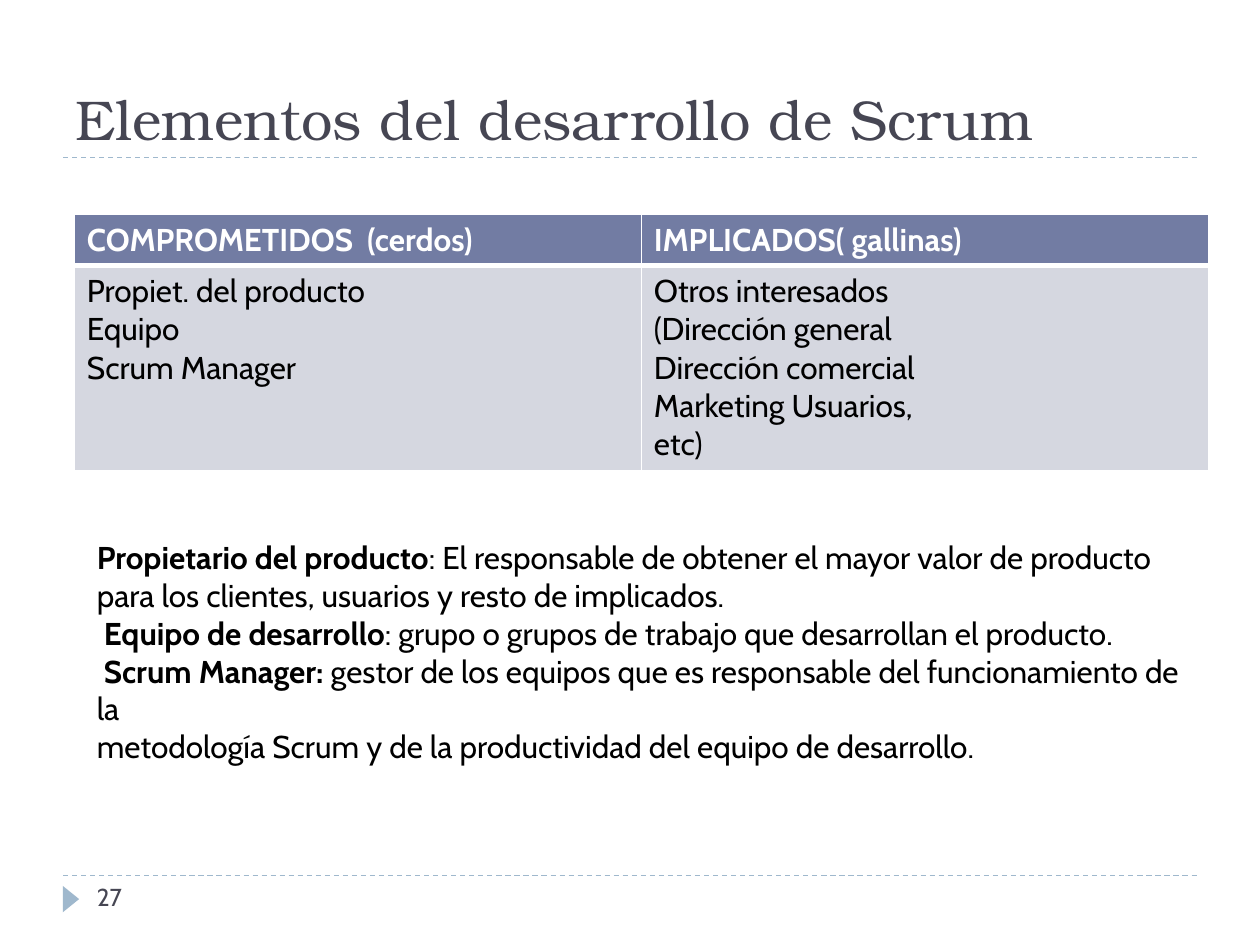
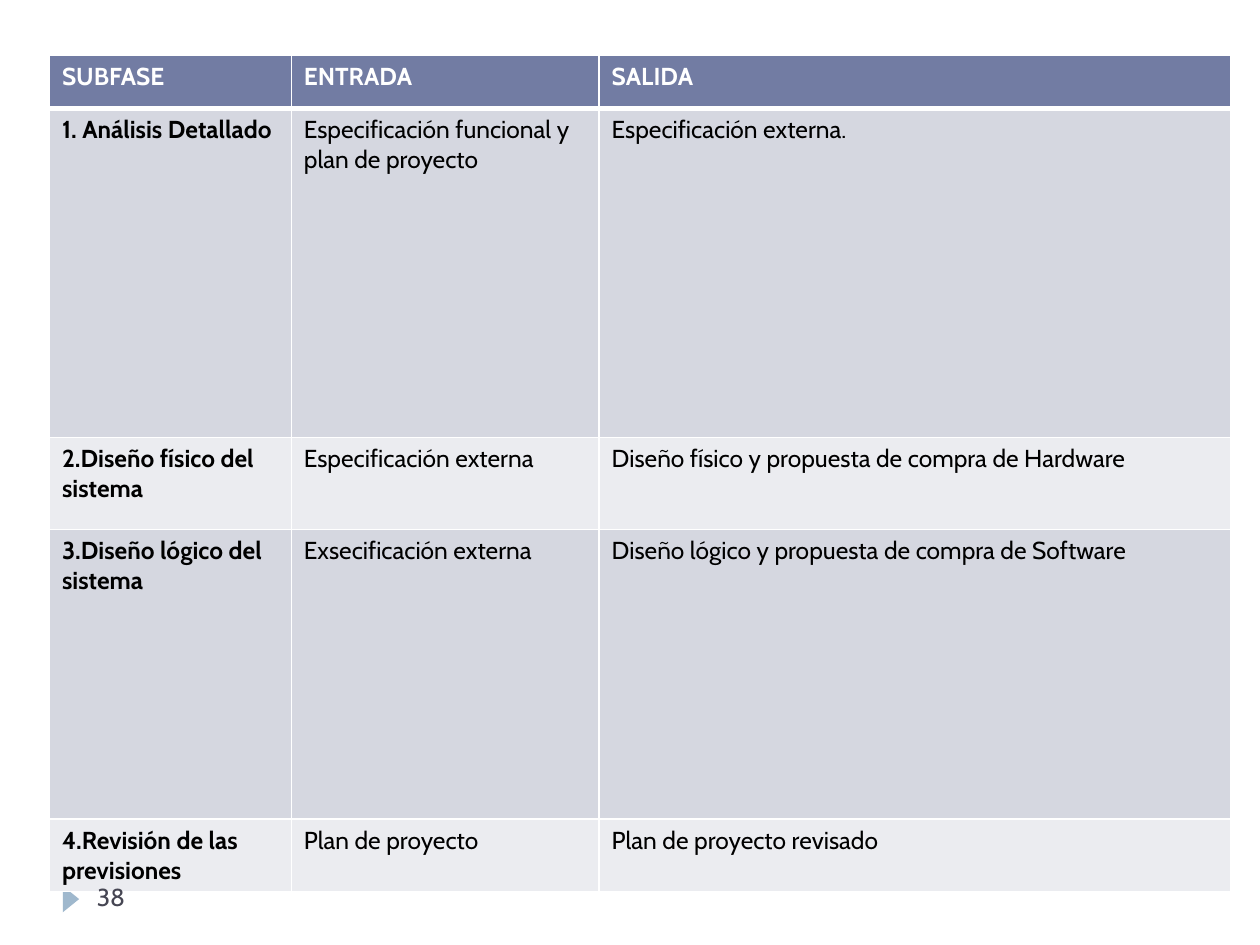
from dataclasses import dataclass

from lxml import etree
from pptx import Presentation
from pptx.dml.color import RGBColor
from pptx.enum.dml import MSO_LINE
from pptx.enum.shapes import MSO_CONNECTOR, MSO_SHAPE
from pptx.enum.text import MSO_ANCHOR, MSO_AUTO_SIZE, PP_ALIGN
from pptx.oxml.ns import qn
from pptx.util import Inches, Pt

DASH = MSO_LINE.DASH
STRAIGHT = MSO_CONNECTOR.STRAIGHT
TRIANGLE = MSO_SHAPE.ISOSCELES_TRIANGLE
BOTTOM = MSO_ANCHOR.BOTTOM
LEFT = PP_ALIGN.LEFT
NO_AUTOFIT = MSO_AUTO_SIZE.NONE

SLIDE_WIDTH, SLIDE_HEIGHT = Inches(10), Inches(7.5)
TITLE_LAYOUT, BLANK_LAYOUT = 5, 6
TITLE_FONT, BODY_FONT = "TeX Gyre Bonum", "Cabin"
INK, ACCENT, BLACK, WHITE = "464653", "9FB8CD", "000000", "FFFFFF"
HEADER_FILL = "727CA3"
BAND_FILLS = ("D5D7E0", "EBECF0")
TITLE_RULE, FOOTER_RULE = 16.67, 92.67


@dataclass(frozen=True)
class Box:
    """Left, top, width and height in percent of the slide's size."""
    left: float
    top: float
    width: float
    height: float

    def lengths(self) -> tuple[int, int, int, int]:
        return across(self.left), down(self.top), across(self.width), down(self.height)


@dataclass(frozen=True)
class TableSpec:
    """Cell texts, with column widths and row heights in percent of the slide."""
    left: float
    top: float
    columns: tuple[float, ...]
    rows: tuple[float, ...]
    size: int
    bold_first_column: bool
    cells: tuple[tuple[str, ...], ...]


TITLE_BOX = Box(5, 2.3, 90, 14.4)
ROLES_BOX = Box(6.7, 56.3, 88.2, 21.6)
NUMBER_BOX = Box(6.7, FOOTER_RULE, 21.7, 5.33)
MARKER_BOX = Box(4.58, 94.28, 2.1, 1.73)

COMMITMENT = TableSpec(
    left=5.9, top=22.67, columns=(45, 45), rows=(5.42, 21.5), size=18,
    bold_first_column=False,
    cells=(
        ("COMPROMETIDOS  (cerdos)", "IMPLICADOS( gallinas)"),
        ("Propiet. del producto\nEquipo\nScrum Manager",
         "Otros interesados\n(Dirección general\nDirección comercial\n"
         "Marketing Usuarios,\netc)"),
    ),
)
SUBPHASES = TableSpec(
    left=3.92, top=5.87, columns=(19.2, 24.43, 50.13),
    rows=(5.6, 34.83, 9.75, 30.65, 7.57), size=14, bold_first_column=True,
    cells=(
        ("SUBFASE", "ENTRADA", "SALIDA"),
        ("1. Análisis Detallado", "Especificación funcional y plan de proyecto",
         "Especificación externa."),
        ("2.Diseño físico del sistema", "Especificación externa",
         "Diseño físico y propuesta de compra de Hardware"),
        ("3.Diseño lógico del sistema", "Exsecificación externa",
         "Diseño lógico y propuesta de compra de Software"),
        ("4.Revisión de las previsiones", "Plan de proyecto",
         "Plan de proyecto revisado"),
    ),
)
# Each paragraph is a bold term followed by its plain explanation.
ROLES = (
    ("Propietario del producto",
     ": El responsable de obtener el mayor valor de producto "
     "para los clientes, usuarios y resto de implicados."),
    (" Equipo de desarrollo",
     ": grupo o grupos de trabajo que desarrollan el producto."),
    (" Scrum Manager: ",
     "gestor de los equipos que es responsable del funcionamiento de la"),
    ("", "metodología Scrum y de la productividad del equipo de desarrollo."),
)


def across(percent: float) -> int:
    return round(SLIDE_WIDTH * percent / 100)


def down(percent: float) -> int:
    return round(SLIDE_HEIGHT * percent / 100)


def color(value: str) -> RGBColor:
    return RGBColor.from_string(value)


def style(paragraph, size: int, ink: str, name: str = BODY_FONT, bold=None) -> None:
    font = paragraph.font
    font.name, font.size, font.bold = name, Pt(size), bold
    font.color.rgb = color(ink)


def add_rule(slide, top: float) -> None:
    rule = slide.shapes.add_connector(
        STRAIGHT, across(5), down(top), across(95), down(top))
    rule.line.color.rgb = color(ACCENT)
    rule.line.width = Pt(0.75)
    rule.line.dash_style = DASH
    etree.SubElement(rule._element.spPr, qn("a:effectLst"))


def add_marker(slide) -> None:
    marker = slide.shapes.add_shape(TRIANGLE, *MARKER_BOX.lengths())
    marker.rotation = 90
    marker.shadow.inherit = False
    marker.fill.solid()
    marker.fill.fore_color.rgb = color(ACCENT)
    marker.line.fill.background()


def add_framed_slide(presentation, layout: int):
    """Add a slide with the rules and the footer marker that all slides share."""
    slide = presentation.slides.add_slide(presentation.slide_layouts[layout])
    for top in (FOOTER_RULE, TITLE_RULE):
        add_rule(slide, top)
    add_marker(slide)
    return slide


def add_text_frame(slide, box: Box):
    frame = slide.shapes.add_textbox(*box.lengths()).text_frame
    frame.word_wrap = True
    return frame


def add_number(slide, number: int) -> None:
    paragraph = add_text_frame(slide, NUMBER_BOX).paragraphs[0]
    paragraph.text = str(number)
    style(paragraph, 14, INK)


def set_title(slide, text: str) -> None:
    title = slide.shapes.title
    title.left, title.top, title.width, title.height = TITLE_BOX.lengths()
    frame = title.text_frame
    frame.text = text
    frame.auto_size = NO_AUTOFIT
    frame.vertical_anchor = BOTTOM
    paragraph = frame.paragraphs[0]
    paragraph.alignment = LEFT
    style(paragraph, 32, INK, TITLE_FONT)


def set_borders(cell, top: int, bottom: int) -> None:
    """Draw white cell borders, with top and bottom widths in points."""
    properties = cell._tc.get_or_add_tcPr()
    widths = {"a:lnL": 1, "a:lnR": 1, "a:lnT": top, "a:lnB": bottom}
    for position, (tag, width) in enumerate(widths.items()):
        line = etree.Element(qn(tag), w=str(Pt(width)))
        fill = etree.SubElement(line, qn("a:solidFill"))
        etree.SubElement(fill, qn("a:srgbClr"), val=WHITE)
        properties.insert(position, line)


def add_table(slide, spec: TableSpec) -> None:
    box = Box(spec.left, spec.top, sum(spec.columns), sum(spec.rows))
    table = slide.shapes.add_table(
        len(spec.rows), len(spec.columns), *box.lengths()).table
    for column, width in zip(table.columns, spec.columns):
        column.width = across(width)
    for row, height in zip(table.rows, spec.rows):
        row.height = down(height)
    for row_index, texts in enumerate(spec.cells):
        header = row_index == 0
        fill = HEADER_FILL if header else BAND_FILLS[(row_index - 1) % 2]
        for column_index, text in enumerate(texts):
            cell = table.cell(row_index, column_index)
            cell.text = text
            cell.fill.solid()
            cell.fill.fore_color.rgb = color(fill)
            set_borders(cell, 3 if row_index == 1 else 1, 3 if header else 1)
            bold = header or (spec.bold_first_column and column_index == 0)
            for paragraph in cell.text_frame.paragraphs:
                style(paragraph, spec.size, WHITE if header else BLACK, bold=bold)


def add_roles(slide) -> None:
    frame = add_text_frame(slide, ROLES_BOX)
    for index, (term, explanation) in enumerate(ROLES):
        paragraph = frame.add_paragraph() if index else frame.paragraphs[0]
        style(paragraph, 18, BLACK)
        if term:
            run = paragraph.add_run()
            run.text = term
            run.font.bold = True
        paragraph.add_run().text = explanation


def add_elements_slide(presentation) -> None:
    slide = add_framed_slide(presentation, TITLE_LAYOUT)
    set_title(slide, "Elementos del desarrollo de Scrum")
    add_table(slide, COMMITMENT)
    add_roles(slide)
    add_number(slide, 27)


def add_subphases_slide(presentation) -> None:
    slide = add_framed_slide(presentation, BLANK_LAYOUT)
    add_table(slide, SUBPHASES)
    add_number(slide, 38)


def main() -> None:
    presentation = Presentation()
    presentation.slide_width, presentation.slide_height = SLIDE_WIDTH, SLIDE_HEIGHT
    add_elements_slide(presentation)
    add_subphases_slide(presentation)
    presentation.save("out.pptx")


if __name__ == "__main__":
    main()
